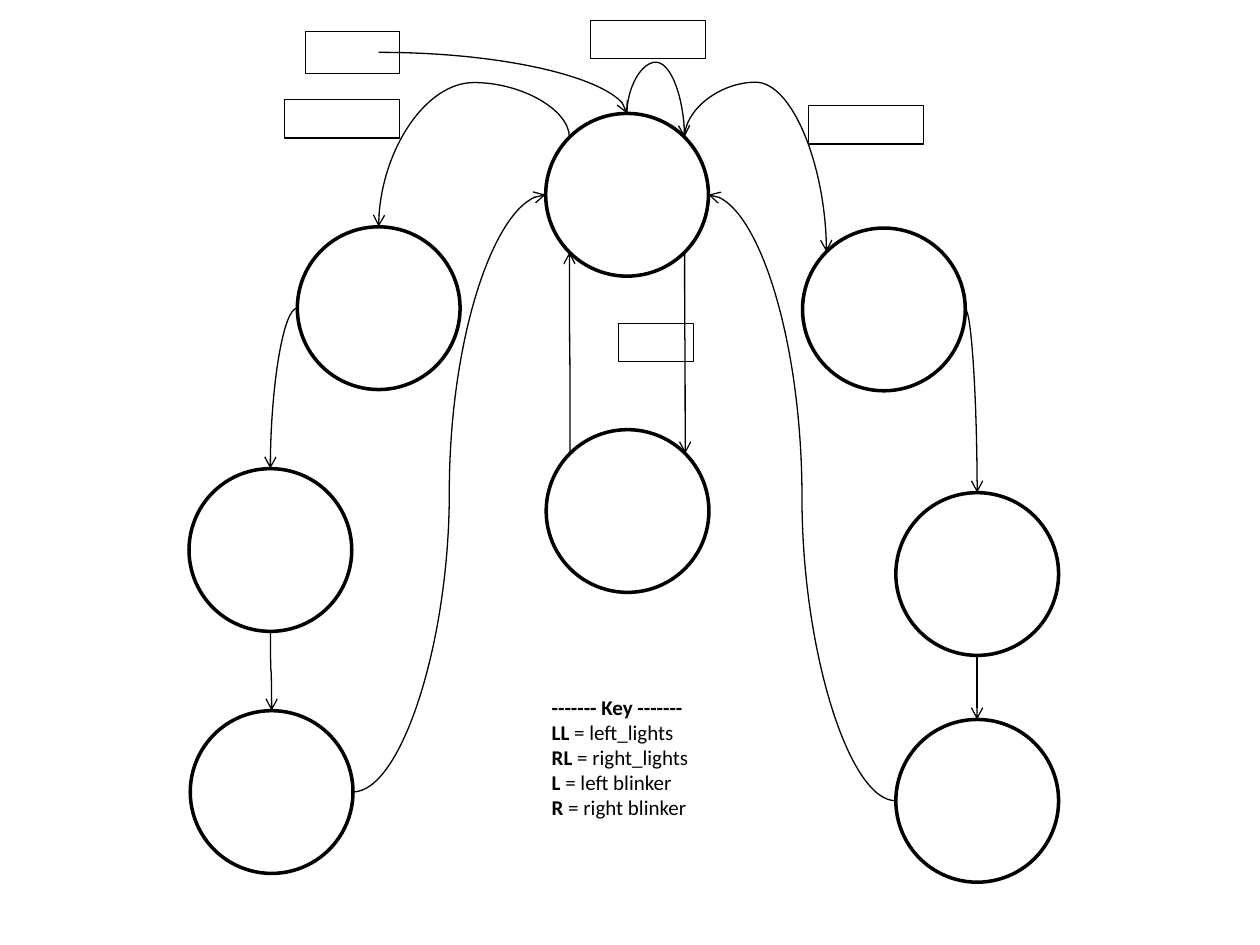
import math
from lxml import etree
from pptx import Presentation
from pptx.dml.color import RGBColor
from pptx.enum import shapes, text
from pptx.oxml import ns
from pptx.util import Pt

BLACK = RGBColor(0, 0, 0)
WHITE = RGBColor(255, 255, 255)
RADIUS = 46.5
TOP, UPPER_RIGHT, RIGHT, LOWER_RIGHT = -90, -45, 0, 45
BOTTOM, LOWER_LEFT, LEFT, UPPER_LEFT = 90, 135, 180, 225

# Centres of the state circles
states = {
    "idle": (358.3, 111.3),
    "brake": (358.6, 292),
    "right1": (505.1, 176.8),
    "right2": (558.4, 328),
    "right3": (558.4, 457.6),
    "left1": (216.4, 176.1),
    "left2": (154.5, 314.3),
    "left3": (155.2, 452.6),
}
# From state and angle, to state and angle, preset, vertical start, bend
transitions = [
    ("idle", TOP, "idle", UPPER_RIGHT, "curvedConnector3", True, -2.15),
    ("idle", UPPER_RIGHT, "right1", UPPER_LEFT, "curvedConnector3", True, -0.48),
    ("right1", RIGHT, "right2", TOP, "curvedConnector2", False, None),
    ("right2", BOTTOM, "right3", TOP, "curvedConnector3", True, 0.5),
    ("idle", UPPER_LEFT, "left1", TOP, "curvedConnector3", True, -0.61),
    ("left1", LEFT, "left2", TOP, "curvedConnector2", False, None),
    ("left2", BOTTOM, "left3", TOP, "curvedConnector3", True, 0.5),
    ("idle", LOWER_RIGHT, "brake", UPPER_RIGHT, "curvedConnector3", True, 0.43),
    ("brake", UPPER_LEFT, "idle", LOWER_LEFT, "curvedConnector3", True, 0.5),
    ("left3", RIGHT, "idle", LEFT, "curvedConnector3", False, 0.5),
    ("right3", LEFT, "idle", RIGHT, "curvedConnector3", False, 0.5),
]
label_boxes = [
    (162.7, 56.9, 65.7, 22),
    (462, 60.3, 65.7, 22),
    (337.4, 11.6, 65.7, 22),
    (353.4, 184.8, 43, 21.8),
    (174.4, 17.9, 54, 24),
]
key_lines = [
    ("------- Key -------", ""),
    ("LL", " = left_lights"),
    ("RL", " = right_lights"),
    ("L", " = left blinker"),
    ("R", " = right blinker"),
]


def rim_point(state, angle):
    x, y = states[state]
    a = math.radians(angle)
    return x + RADIUS * math.cos(a), y + RADIUS * math.sin(a)


def add_curve(start, end, preset, vertical, bend):
    """Draw a curved arrow; a vertical start is a quarter turn about the middle."""
    (x1, y1), (x2, y2) = start, end
    if vertical:
        cx, cy, dx, dy = (x1 + x2) / 2, (y1 + y2) / 2, x2 - x1, y2 - y1
        x1, x2 = cx + dy / 2, cx - dy / 2
        y1, y2 = cy - dx / 2, cy + dx / 2
    c = s.shapes.add_connector(
        shapes.MSO_CONNECTOR.CURVE, Pt(x1), Pt(y1), Pt(x2), Pt(y2))
    c.line.color.rgb = BLACK
    c.line.width = Pt(0.75)
    sppr = c._element.spPr
    if vertical:
        sppr.find(ns.qn("a:xfrm")).set("rot", str(270 * 60000))
    geom = sppr.find(ns.qn("a:prstGeom"))
    geom.set("prst", preset)
    if bend is not None:
        guide = etree.SubElement(geom.find(ns.qn("a:avLst")), ns.qn("a:gd"))
        guide.set("name", "adj1")
        guide.set("fmla", f"val {round(bend * 100000)}")
    etree.SubElement(c.line._get_or_add_ln(), ns.qn("a:tailEnd")).set("type", "arrow")
    etree.SubElement(sppr, ns.qn("a:effectLst"))


prs = Presentation()
prs.slide_width, prs.slide_height = Pt(720), Pt(540)
s = prs.slides.add_slide(prs.slide_layouts[6])

for x, y in states.values():
    sp = s.shapes.add_shape(shapes.MSO_SHAPE.OVAL, Pt(x - RADIUS), Pt(y - RADIUS),
                            Pt(2 * RADIUS), Pt(2 * RADIUS))
    sp.shadow.inherit = False
    sp.fill.solid()
    sp.fill.fore_color.rgb = WHITE
    sp.line.color.rgb = BLACK
    sp.line.width = Pt(2)

for source, a1, target, a2, preset, vertical, bend in transitions:
    add_curve(rim_point(source, a1), rim_point(target, a2), preset, vertical, bend)
add_curve((216.4, 29.9), rim_point("idle", TOP), "curvedConnector2", False, None)

for box in label_boxes:
    sp = s.shapes.add_shape(shapes.MSO_SHAPE.RECTANGLE, *map(Pt, box))
    sp.shadow.inherit = False
    sp.fill.background()
    sp.line.color.rgb = BLACK
    sp.line.width = Pt(0.75)

tf = s.shapes.add_textbox(Pt(308.2), Pt(393.1), Pt(103.7), Pt(79.9)).text_frame
tf.word_wrap = True
tf.auto_size = text.MSO_AUTO_SIZE.SHAPE_TO_FIT_TEXT
for i, (term, meaning) in enumerate(key_lines):
    p = tf.add_paragraph() if i else tf.paragraphs[0]
    for words, bold in ((term, True), (meaning, False)):
        if not words:
            continue
        r = p.add_run()
        r.text = words
        for name, value in {"name": "Calibri", "size": Pt(12), "bold": bold}.items():
            setattr(r.font, name, value)
        r.font.color.rgb = BLACK

prs.save("out.pptx")
